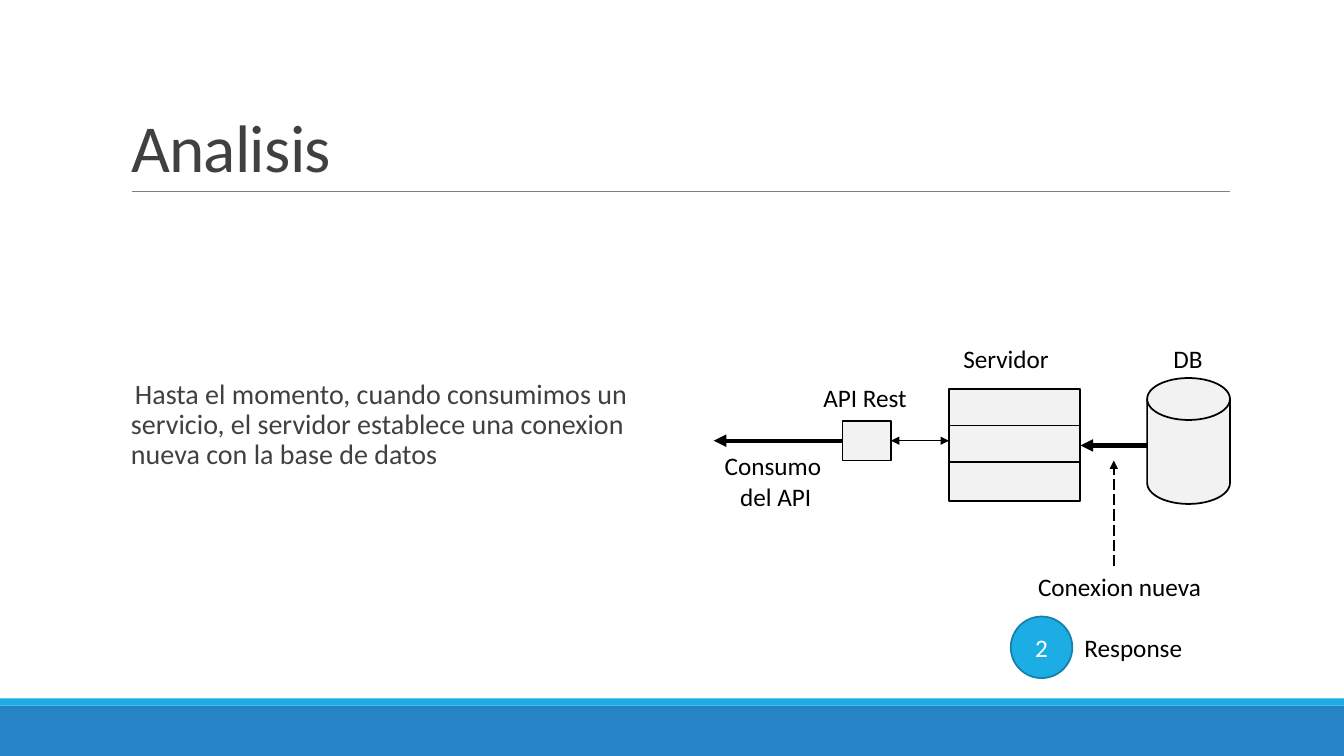
from dataclasses import dataclass

from lxml import etree
from pptx import Presentation
from pptx.dml.color import RGBColor
from pptx.enum.dml import MSO_LINE
from pptx.enum.shapes import MSO_CONNECTOR, MSO_SHAPE
from pptx.enum.text import MSO_ANCHOR, MSO_AUTO_SIZE, PP_ALIGN
from pptx.oxml.ns import qn
from pptx.util import Pt

RECT, OVAL, DISK = MSO_SHAPE.RECTANGLE, MSO_SHAPE.OVAL, MSO_SHAPE.FLOWCHART_MAGNETIC_DISK
STRAIGHT, LONG_DASH = MSO_CONNECTOR.STRAIGHT, MSO_LINE.LONG_DASH
LEFT, CENTER = PP_ALIGN.LEFT, PP_ALIGN.CENTER
TOP, MIDDLE, BOTTOM = MSO_ANCHOR.TOP, MSO_ANCHOR.MIDDLE, MSO_ANCHOR.BOTTOM
NO_FIT, GROW = MSO_AUTO_SIZE.NONE, MSO_AUTO_SIZE.SHAPE_TO_FIT_TEXT


@dataclass(frozen=True)
class Theme:
    font: str = "Calibri"
    title_size: float = 48
    body_size: float = 20
    label_size: float = 18
    ink: str = "000000"
    text: str = "404040"
    white: str = "FFFFFF"
    rule: str = "808080"
    box: str = "F2F2F2"
    accent: str = "1CADE4"
    accent_edge: str = "1580A9"
    band: str = "2683C6"
    outline: float = 1.25


@dataclass(frozen=True)
class Box:
    left: float
    top: float
    width: float
    height: float
    kind: int = RECT


@dataclass(frozen=True)
class Label:
    text: str
    left: float
    top: float
    width: float
    height: float = 29
    align: int = LEFT


@dataclass(frozen=True)
class Arrow:
    x1: float
    y1: float
    x2: float
    y2: float
    weight: float = 1
    ends: tuple = ("tailEnd",)
    dash: int | None = None


THEME = Theme()
BAND_COUNT, BAND_TOP, BAND_STEP = 3, 277.9, 25.95

NODES = [
    Box(819.4, 270, 59.2, 90, DISK),
    *(Box(678, BAND_TOP + i * BAND_STEP, 93.6, 28.1) for i in range(BAND_COUNT)),
    Box(601.8, 300.8, 34.7, 28.1),
]
LABELS = [
    Label("DB", 831, 242, 35.3),
    Label("Servidor", 681, 242, 76.3),
    Label("API Rest", 581, 269.3, 74.9),
    Label("Consumo \ndel API", 509.8, 318.3, 88.6, 51, CENTER),
    Label("Conexion nueva", 734.4, 404.6, 132.5),
    Label("Response", 767.5, 447.8, 85),
]
ARROWS = [
    Arrow(636.5, 314.8, 677.8, 314.8, ends=("headEnd", "tailEnd")),
    Arrow(601.8, 314.8, 509.8, 314.8, weight=3),
    Arrow(819.4, 318.2, 771.8, 318.2, weight=3),
    Arrow(795.6, 404.6, 795.6, 329, dash=LONG_DASH),
]


def rgb(value: str) -> RGBColor:
    return RGBColor.from_string(value)


def write(sp, text: str, *, size: float, color: str, align=LEFT, anchor=TOP, wrap=True,
          fit=NO_FIT, inset=7.2, line_spacing=1.0, before=0, after=0, tracking=0) -> None:
    tf = sp.text_frame
    tf.word_wrap, tf.auto_size, tf.vertical_anchor = wrap, fit, anchor
    tf.margin_left = tf.margin_right = Pt(inset)
    tf.margin_top = tf.margin_bottom = Pt(3.6)
    for i, line in enumerate(text.split("\n")):
        p = tf.paragraphs[0] if i == 0 else tf.add_paragraph()
        p.alignment, p.line_spacing = align, line_spacing
        p.space_before, p.space_after = Pt(before), Pt(after)
        r = p.add_run()
        r.text = line
        r.font.name, r.font.size = THEME.font, Pt(size)
        r.font.color.rgb = rgb(color)
        if tracking:
            r.font._element.set("spc", str(round(tracking * 100)))


def add_box(s, box: Box, fill: str, line: str | None = None):
    sp = s.shapes.add_shape(box.kind, Pt(box.left), Pt(box.top), Pt(box.width), Pt(box.height))
    sp.shadow.inherit = False
    sp.fill.solid()
    sp.fill.fore_color.rgb = rgb(fill)
    if line:
        sp.line.color.rgb = rgb(line)
        sp.line.width = Pt(THEME.outline)
    else:
        sp.line.fill.background()
    return sp


def add_line(s, arrow: Arrow, color: str) -> None:
    line = s.shapes.add_connector(
        STRAIGHT, Pt(arrow.x1), Pt(arrow.y1), Pt(arrow.x2), Pt(arrow.y2))
    line.line.color.rgb = rgb(color)
    line.line.width = Pt(arrow.weight)
    if arrow.dash:
        line.line.dash_style = arrow.dash
    ln = line.line._get_or_add_ln()
    for end in arrow.ends:
        etree.SubElement(ln, qn(f"a:{end}"), type="triangle")
    etree.SubElement(line._element.spPr, qn("a:effectLst"))


def add_label(s, label: Label) -> None:
    sp = s.shapes.add_textbox(Pt(label.left), Pt(label.top), Pt(label.width), Pt(label.height))
    write(sp, label.text, size=THEME.label_size, color=THEME.ink, align=label.align,
          wrap=False, fit=GROW)


def add_title(s, text: str) -> None:
    sp = s.shapes.title
    sp.left, sp.top, sp.width, sp.height = Pt(86.4), Pt(22.6), Pt(792), Pt(114.2)
    write(sp, text, size=THEME.title_size, color=THEME.text, anchor=BOTTOM,
          line_spacing=0.85, tracking=-0.5)


def add_body(s, text: str) -> None:
    sp = s.shapes.add_textbox(Pt(86.4), Pt(145.4), Pt(396), Pt(316.8))
    write(sp, text, size=THEME.body_size, color=THEME.text, anchor=MIDDLE, inset=0,
          line_spacing=0.9, before=12, after=2)
    pPr = sp.text_frame.paragraphs[0]._p.get_or_add_pPr()
    pPr.set("marL", str(Pt(7.2)))
    pPr.set("indent", str(Pt(-7.2)))
    bullet_color = etree.SubElement(pPr, qn("a:buClr"))
    etree.SubElement(bullet_color, qn("a:srgbClr"), val=THEME.accent)
    etree.SubElement(pPr, qn("a:buChar"), char=" ")


def main() -> None:
    prs = Presentation()
    prs.slide_width, prs.slide_height = Pt(960), Pt(540)
    s = prs.slides.add_slide(prs.slide_layouts.get_by_name("Title Only"))

    add_box(s, Box(0, 504, 960, 36), THEME.band)
    add_box(s, Box(0, 498.8, 960, 5.2), THEME.accent)
    add_line(s, Arrow(94.2, 136.8, 878.8, 136.8, weight=0.5, ends=()), THEME.rule)
    add_title(s, "Analisis")
    add_body(s, "Hasta el momento, cuando consumimos un servicio, el servidor establece "
                "una conexion nueva con la base de datos")

    for node in NODES:
        add_box(s, node, THEME.box, THEME.ink)
    for arrow in ARROWS:
        add_line(s, arrow, THEME.ink)
    for label in LABELS:
        add_label(s, label)
    step = add_box(s, Box(722, 440.4, 44, 44, OVAL), THEME.accent, THEME.accent_edge)
    write(step, "2", size=THEME.label_size, color=THEME.white, align=CENTER, anchor=MIDDLE)

    prs.save("out.pptx")


if __name__ == "__main__":
    main()
